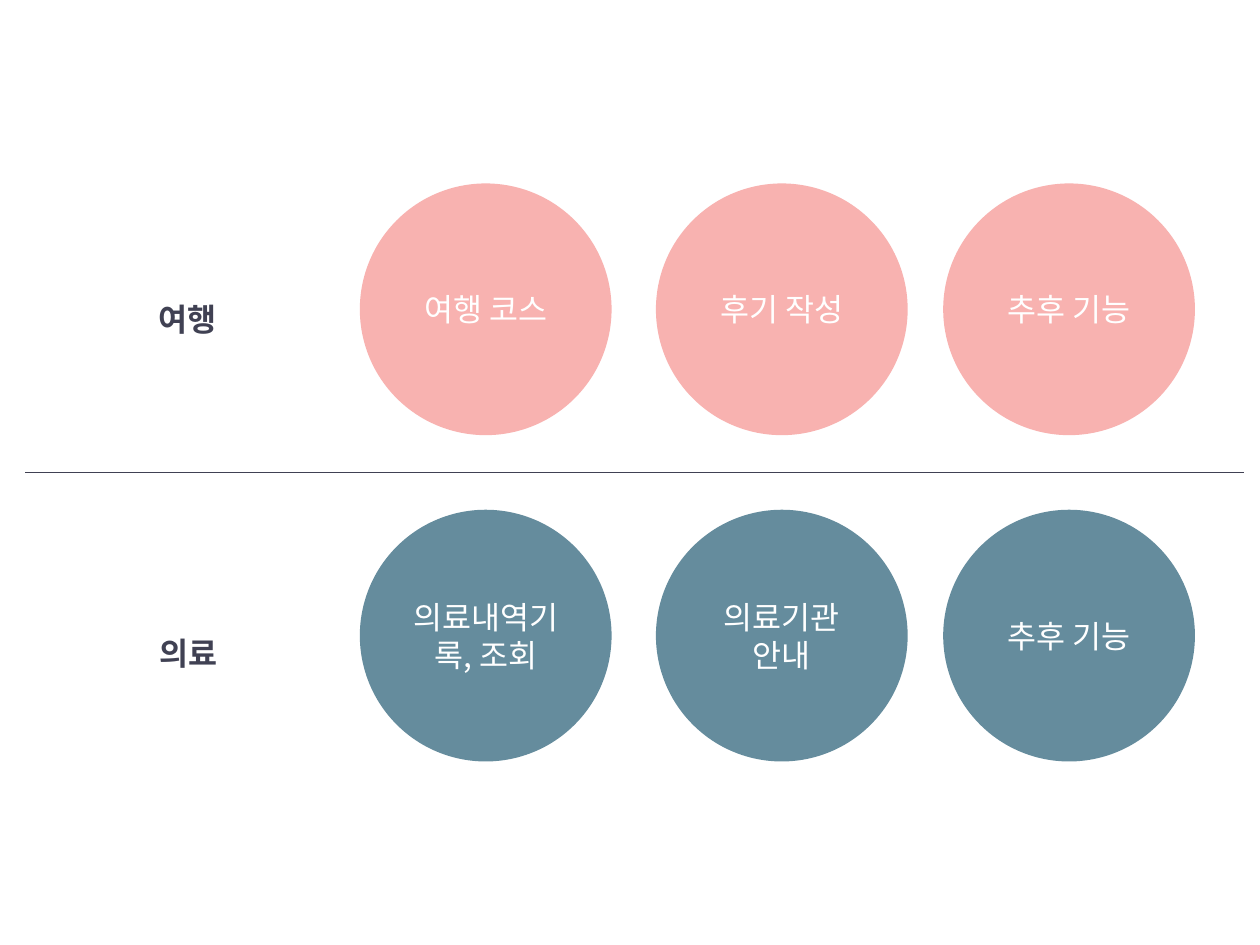
from lxml.etree import SubElement
from pptx import Presentation
from pptx.dml.color import RGBColor
from pptx.enum.shapes import MSO_CONNECTOR, MSO_SHAPE
from pptx.enum.text import MSO_ANCHOR, PP_ALIGN
from pptx.oxml.ns import qn
from pptx.util import Inches, Pt

COLORS = {"travel": "F8B2B0", "medical": "658C9D", "ink": "404153", "white": "FFFFFF"}
FONT = "Noto Sans CJK KR"
ROWS = [
    {"label": "여행", "label_at": (1.05, 2.33), "color": "travel",
     "features": ["여행 코스", "후기 작성", "추후 기능"]},
    {"label": "의료", "label_at": (1.06, 4.98), "color": "medical",
     "features": ["의료내역기록, 조회", "의료기관 안내", "추후 기능"]},
]
COLUMN_LEFTS = (2.87, 5.22, 7.5)
FIRST_TOP, ROW_STEP, DIAMETER = 1.47, 2.59, 1.97
LABEL_SIZE = (0.87, 0.4)
DIVIDER_LEFT, DIVIDER_RIGHT, DIVIDER_Y = 0.2, 9.87, 3.75


def rgb(name):
    """Return the named palette colour."""
    return RGBColor.from_string(COLORS[name])


def write(frame, text, color, bold=False):
    """Put one centred paragraph into a text frame."""
    frame.word_wrap = True
    paragraph = frame.paragraphs[0]
    paragraph.text = text
    paragraph.alignment = PP_ALIGN.CENTER
    font = paragraph.font
    font.name, font.size, font.bold = FONT, Pt(18), bold
    font.color.rgb = rgb(color)
    properties = paragraph._p.pPr.find(qn("a:defRPr"))
    SubElement(properties, qn("a:ea")).set("typeface", FONT)


def add_feature(slide, left, top, text, color):
    """Draw a filled circle holding a feature name."""
    circle = slide.shapes.add_shape(
        MSO_SHAPE.OVAL, *map(Inches, (left, top, DIAMETER, DIAMETER)))
    circle.shadow.inherit = False
    circle.fill.solid()
    circle.fill.fore_color.rgb = rgb(color)
    circle.line.color.rgb = rgb(color)
    circle.line.width = Pt(2)
    circle.text_frame.vertical_anchor = MSO_ANCHOR.MIDDLE
    write(circle.text_frame, text, "white")


def add_divider(slide):
    """Draw the line between the two rows."""
    divider = slide.shapes.add_connector(MSO_CONNECTOR.STRAIGHT, *map(
        Inches, (DIVIDER_LEFT, DIVIDER_Y, DIVIDER_RIGHT, DIVIDER_Y)))
    divider.line.color.rgb = rgb("ink")
    divider.line.width = Pt(0.75)
    SubElement(divider._element.spPr, qn("a:effectLst"))


prs = Presentation()
prs.slide_width, prs.slide_height = Inches(10), Inches(7.5)
slide = prs.slides.add_slide(prs.slide_layouts[6])

for index, row in enumerate(ROWS):
    for left, feature in zip(COLUMN_LEFTS, row["features"]):
        add_feature(slide, left, FIRST_TOP + index * ROW_STEP, feature, row["color"])
    label = slide.shapes.add_textbox(*map(Inches, row["label_at"] + LABEL_SIZE))
    write(label.text_frame, row["label"], "ink", bold=True)
add_divider(slide)

prs.save("out.pptx")
